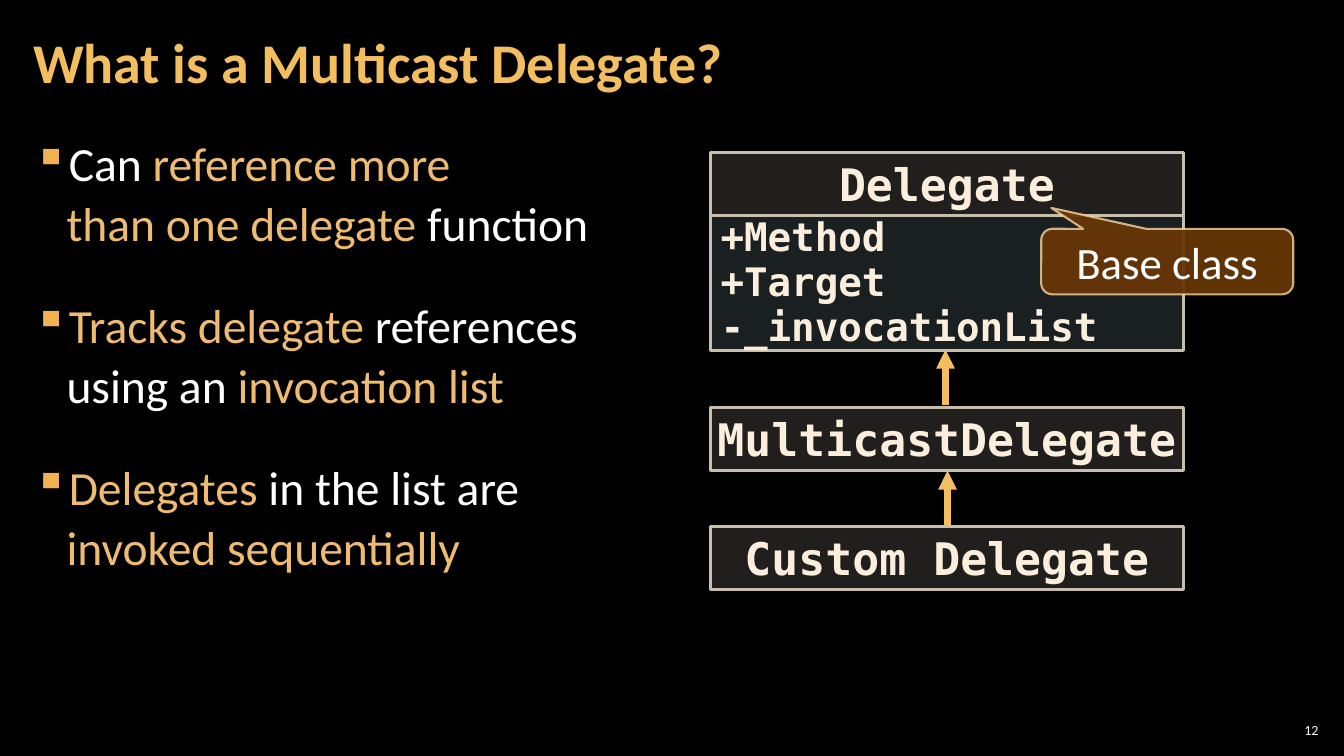
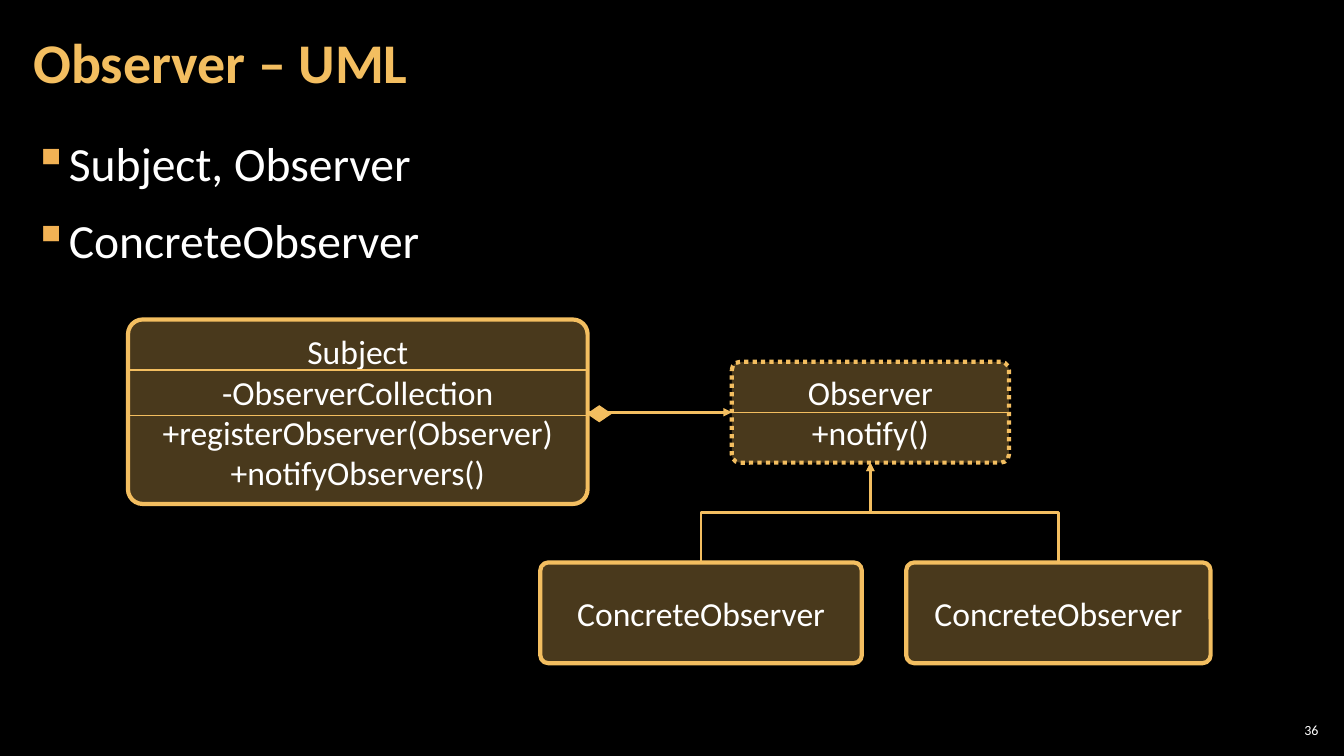
import pptx
import pptx.util
import pptx.dml.color
import pptx.enum.dml
import pptx.enum.shapes
import pptx.enum.text
import pptx.oxml
import pptx.oxml.ns
import lxml.etree

KIND = pptx.enum.shapes.MSO_SHAPE
WIRE = pptx.enum.shapes.MSO_CONNECTOR
ALIGN = pptx.enum.text.PP_ALIGN
MID = pptx.enum.text.MSO_ANCHOR.MIDDLE
TOP = pptx.enum.text.MSO_ANCHOR.TOP
DOTS = pptx.enum.dml.MSO_LINE.ROUND_DOT
qn = pptx.oxml.ns.qn

# Shared look: 100 px to the inch
PX = 9144
SANS, MONO = "Calibri", "DejaVu Sans Mono"
BLACK, WHITE, GOLD = "000000", "FFFFFF", "F3BE60"
SAND, CREAM, EDGE = "EFBB72", "FBEEDC", "C7BFAC"
MARK = "F2B254"
TITLE = (21, 4, 1047, 121)
BODY = (21, 126, 1291, 609)
PAGE = (1265, 714, 47, 21)

# Content: bullets hold runs of (text, colour)
MULTI = {
    "title": "What is a Multicast Delegate?", "page": "12",
    "before": 18, "after": 12,
    "points": [
        [("Can ", WHITE), ("reference more\nthan one delegate ", SAND),
         ("function", WHITE)],
        [("Tracks delegate ", SAND), ("references\nusing an ", WHITE),
         ("invocation list", SAND)],
        [("Delegates", SAND), (" in the list are\n", WHITE),
         ("invoked sequentially", SAND)],
    ],
}
UML = {
    "title": "Observer – UML", "page": "36",
    "before": 6, "after": 6,
    "points": [[("Subject, Observer", WHITE)], [("ConcreteObserver", WHITE)]],
}
HEADS = [("Delegate", 151), ("MulticastDelegate", 404), ("Custom Delegate", 522)]
FIELDS = ["+Method", "+Target", "-_invocationList"]
STACK = (705, 469, 63)      # left, width, height of the class heads
RISES = [(940, 522, 467), (938, 402, 347)]
NODES = {
    "observer": ((726, 359, 275, 100), ["Observer", "+notify()"]),
    "left": ((536, 558, 319, 100), ["ConcreteObserver"]),
    "right": ((899, 558, 302, 100), ["ConcreteObserver"]),
    "subject": ((127, 317, 456, 183),
                ["Subject", "-ObserverCollection",
                 "+registerObserver(Observer)", "+notifyObservers()"]),
}


def emu(*nums):
    return [round(n * PX) for n in nums]


def rgb(code):
    return pptx.dml.color.RGBColor.from_string(code)


def fade(node, pct):
    """Set the opacity of the solid fill held by node."""
    tone = node.find(qn("a:solidFill"))[0]
    lxml.etree.SubElement(tone, qn("a:alpha"), val=str(pct * 1000))


def write(frame, paras, size, font=SANS, bold=False, align=ALIGN.LEFT,
          space=None, before=0, after=0, bullet=False):
    """Fill a frame with paragraphs, each a list of (text, colour) runs."""
    for i, runs in enumerate(paras):
        para = frame.add_paragraph() if i else frame.paragraphs[0]
        para.alignment = align
        if space:
            para.line_spacing = space
        para.space_before = pptx.util.Pt(before if i else 0)
        para.space_after = pptx.util.Pt(after)
        if bullet:
            props = para._p.get_or_add_pPr()
            dent = emu(33)[0]
            props.set("marL", str(dent))
            props.set("indent", str(-dent))
            tone = lxml.etree.SubElement(props, qn("a:buClr"))
            lxml.etree.SubElement(tone, qn("a:srgbClr"), val=MARK)
            lxml.etree.SubElement(props, qn("a:buChar"), char="▪")
        for text, color in runs:
            for n, part in enumerate(text.split("\n")):
                if n:
                    para.add_line_break()
                if part:
                    run = para.add_run()
                    run.text = part
                    run.font.name, run.font.bold = font, bold
                    run.font.size = pptx.util.Pt(size)
                    run.font.color.rgb = rgb(color)


def label(slide, box, paras, size, side=12, anchor=MID, **style):
    frame = slide.shapes.add_textbox(*emu(*box)).text_frame
    frame.word_wrap = True
    frame.vertical_anchor = anchor
    frame.margin_left = frame.margin_right = emu(side)[0]
    frame.margin_top = frame.margin_bottom = emu(4)[0]
    write(frame, paras, size, **style)


def block(slide, kind, box, fill, alpha=100, edge=None, width=0, adjust=()):
    item = slide.shapes.add_shape(kind, *emu(*box))
    item.shadow.inherit = False
    for i, val in enumerate(adjust):
        item.adjustments[i] = val
    item.fill.solid()
    item.fill.fore_color.rgb = rgb(fill)
    if alpha < 100:
        fade(item._element.spPr, alpha)
    if edge:
        item.line.color.rgb = rgb(edge)
        item.line.width = pptx.util.Pt(width)
    else:
        item.line.fill.background()
    item.text_frame.vertical_anchor = MID
    return item


def wire(slide, ends, width, arrow=False, kind=WIRE.STRAIGHT):
    item = slide.shapes.add_connector(kind, *emu(*ends))
    item.line.color.rgb = rgb(GOLD)
    item.line.width = pptx.util.Pt(width)
    props = item._element.spPr
    if arrow:
        lxml.etree.SubElement(props.find(qn("a:ln")), qn("a:tailEnd"),
                              type="triangle")
    lxml.etree.SubElement(props, qn("a:effectLst"))
    return item


def elbow(slide, x1, y1, x2, y2):
    """Arrow that goes up, across and up: an elbow turned by 270 degrees."""
    mx, my = (x1 + x2) / 2, (y1 + y2) / 2
    dx, dy = (x2 - x1) / 2, (y1 - y2) / 2
    item = wire(slide, (mx - dy, my - dx, mx + dy, my + dx), 2, True, WIRE.ELBOW)
    item._element.spPr.find(qn("a:xfrm")).set("rot", str(270 * 60000))


def start(deck, data):
    """Slide with background, title, bullets and page number."""
    slide = deck.slides.add_slide(deck.slide_layouts[6])
    slide.background.fill.solid()
    slide.background.fill.fore_color.rgb = rgb(BLACK)
    label(slide, BODY, data["points"], 34, anchor=TOP, space=1.05,
          before=data["before"], after=data["after"], bullet=True)
    label(slide, TITLE, [[(data["title"], GOLD)]], 40, bold=True, space=0.9)
    label(slide, PAGE, [[(data["page"], WHITE)]], 10, side=4, align=ALIGN.RIGHT)
    return slide


def multi(deck):
    slide = start(deck, MULTI)
    left, wide, high = STACK
    # Class boxes
    for name, top in HEADS:
        head = block(slide, KIND.RECTANGLE, (left, top, wide, high),
                     "D9D5C7", 15, EDGE, 2)
        head.text_frame.word_wrap = False
        write(head.text_frame, [[(name, CREAM)]], 32, MONO, True, ALIGN.CENTER)
    body = block(slide, KIND.RECTANGLE, (left, HEADS[0][1] + high, wide, 134),
                 "B5DBE5", 15, EDGE, 2)
    write(body.text_frame, [[(f, CREAM)] for f in FIELDS], 28, MONO, True,
          space=0.95)
    # Callout
    note = block(slide, KIND.ROUNDED_RECTANGULAR_CALLOUT, (1033, 227, 250, 65),
                 "663606", 95, "F8D49E", 1.5, (-0.46, -0.82, 0.17))
    fade(note._element.spPr.find(qn("a:ln")), 80)
    write(note.text_frame, [[("Base class", WHITE)]], 32, align=ALIGN.CENTER)
    # Inheritance arrows
    for x, low, top in RISES:
        wire(slide, (x, low, x, top), 4.5, True)


def uml(deck):
    slide = start(deck, UML)
    ox, oy, ow, oh = NODES["observer"][0]
    sx, sy, sw, sh = NODES["subject"][0]
    mid = oy + oh / 2
    # Links
    wire(slide, (ox, mid, ox + ow, mid), 1)
    for side in ("left", "right"):
        x, y, w, h = NODES[side][0]
        elbow(slide, x + w / 2, y, ox + ow / 2, oy + oh)
    wire(slide, (sx + sw, mid, ox, mid), 2, True)
    # Class boxes
    for name, (box, lines) in NODES.items():
        node = block(slide, KIND.ROUNDED_RECTANGLE, box, GOLD, 30, GOLD, 3,
                     (0.08,))
        if name == "observer":
            node.line.dash_style = DOTS
        node.text_frame.word_wrap = True
        write(node.text_frame, [[(t, WHITE)] for t in lines], 24,
              align=ALIGN.CENTER)
    # Diamond and dividers
    block(slide, KIND.FLOWCHART_DECISION, (582, 402, 25, 17), GOLD)
    for y in (367, 412):
        wire(slide, (sx, y, sx + sw, y), 1)


def main():
    deck = pptx.Presentation()
    deck.slide_width, deck.slide_height = pptx.util.Emu(12192000), emu(750)[0]
    multi(deck)
    uml(deck)
    deck.save("out.pptx")


if __name__ == "__main__":
    main()
